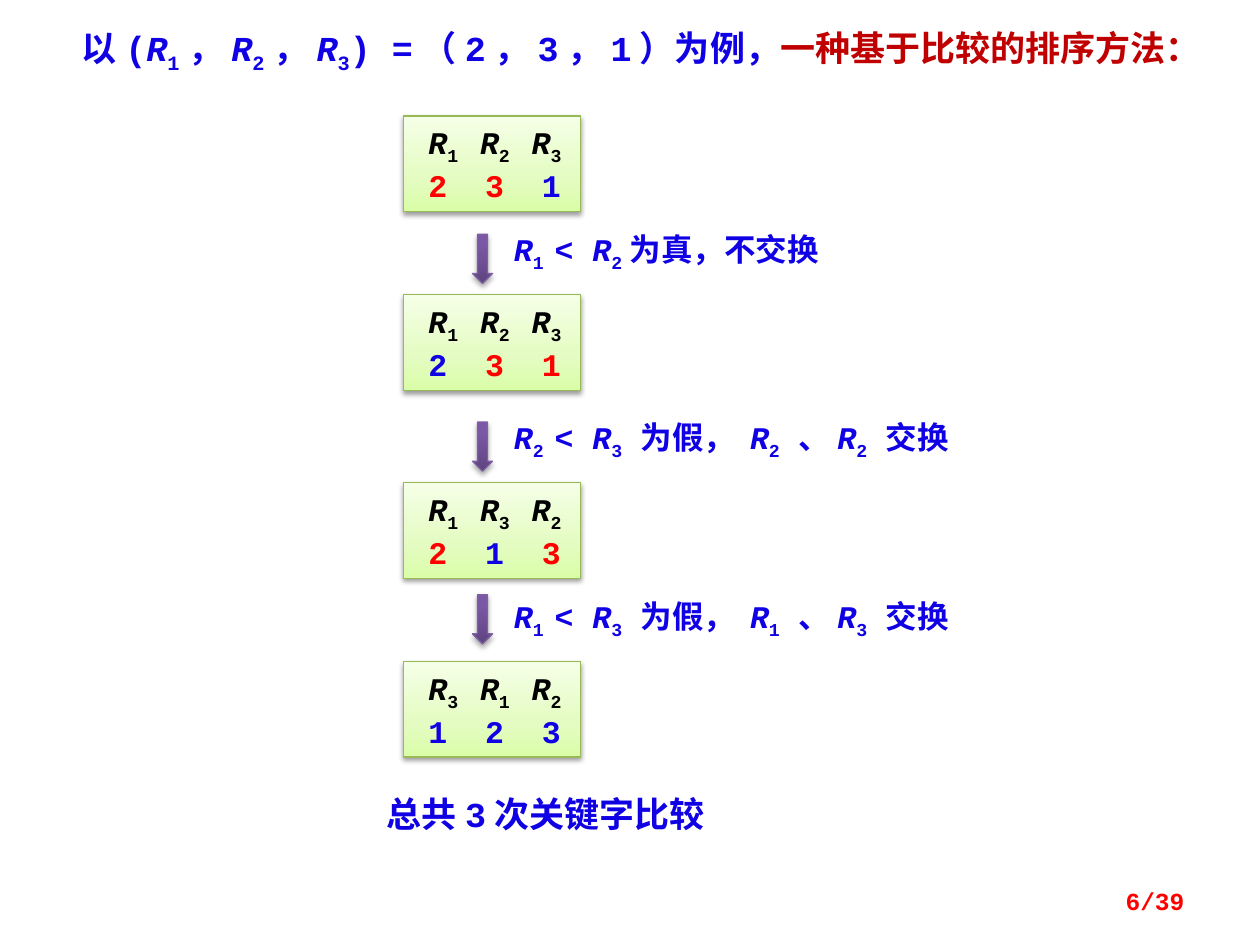
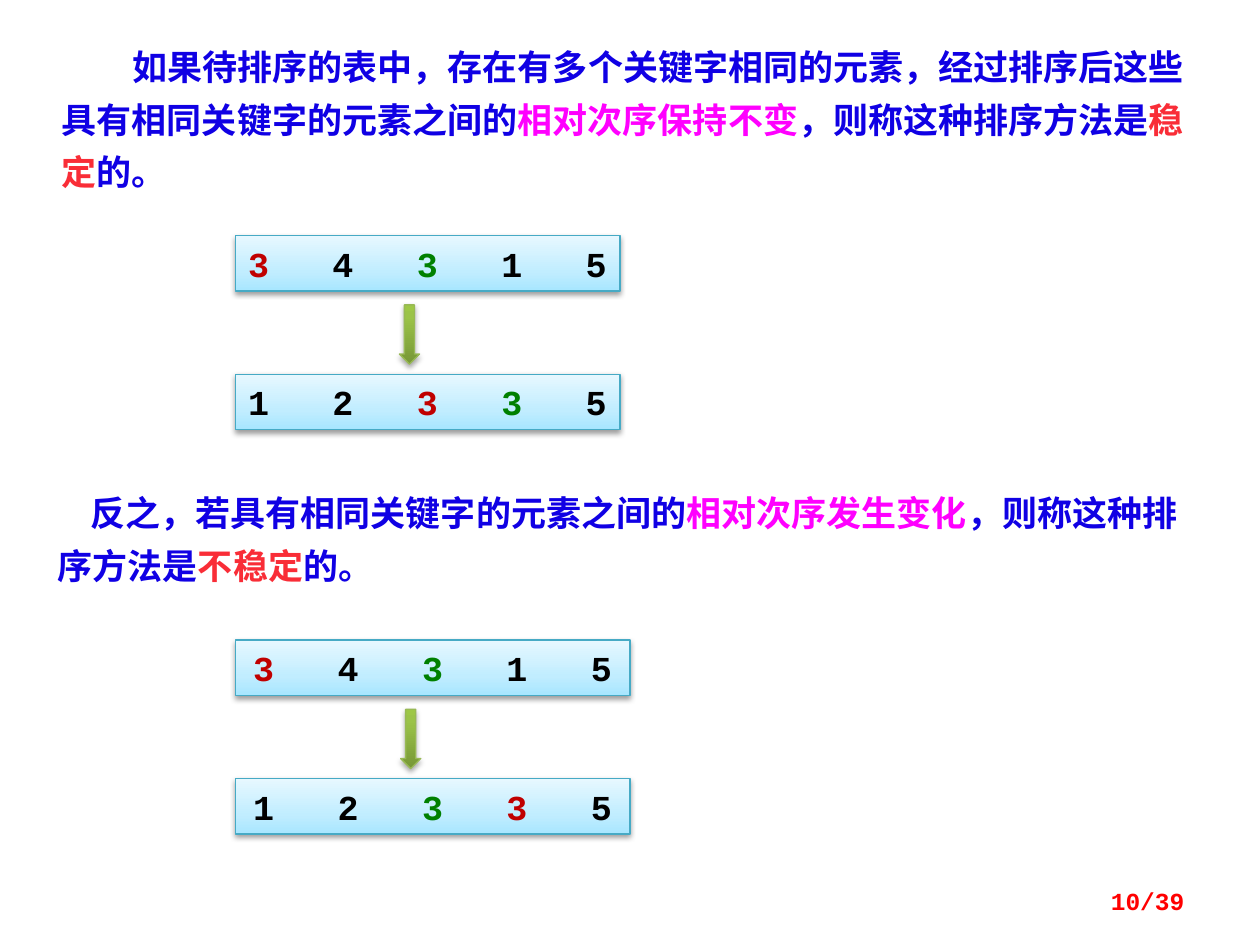
from dataclasses import dataclass, replace
from typing import NamedTuple

from lxml import etree
from pptx import Presentation
from pptx.dml.color import RGBColor
from pptx.enum.shapes import MSO_SHAPE
from pptx.enum.text import MSO_ANCHOR, MSO_AUTO_SIZE, PP_ALIGN
from pptx.oxml.ns import qn
from pptx.util import Inches, Pt

RECT, DOWN_ARROW = MSO_SHAPE.RECTANGLE, MSO_SHAPE.DOWN_ARROW
TOP, MIDDLE = MSO_ANCHOR.TOP, MSO_ANCHOR.MIDDLE
LEFT, RIGHT = PP_ALIGN.LEFT, PP_ALIGN.RIGHT
GROW, FIXED = MSO_AUTO_SIZE.SHAPE_TO_FIT_TEXT, MSO_AUTO_SIZE.NONE

BLUE = RGBColor(0x10, 0x00, 0xE4)
BLACK = RGBColor(0x00, 0x00, 0x00)
RED = RGBColor(0xFF, 0x00, 0x00)
DARK_RED = RGBColor(0xC0, 0x00, 0x00)
GREEN = RGBColor(0x00, 0x80, 0x00)
MAGENTA = RGBColor(0xFF, 0x00, 0xFF)
SCARLET = RGBColor(0xF9, 0x2D, 0x37)

MONO = "Courier New"
CJK = "Noto Sans CJK JP"


class Run(NamedTuple):
    text: str
    color: RGBColor = BLUE
    italic: bool = False
    sub: bool = False
    font: str = MONO


class Box(NamedTuple):
    left: float
    top: float
    width: float
    height: float

    def lengths(self) -> list:
        return [Inches(v) for v in self]


class Look(NamedTuple):
    stops: tuple
    line: RGBColor
    shadow_alpha: int
    shadow_dist: float


@dataclass
class Step:
    top: float
    order: str
    keys: str
    compared: tuple = ()


@dataclass
class Move:
    arrow_top: float
    label_top: float
    width: float
    text: str


@dataclass
class Example:
    top: float
    width: float
    inset: float
    arrow_left: float
    before: list
    after: list


GREEN_LINE = RGBColor(0x98, 0xB9, 0x55)
GREEN_BOX = Look(((0, "DAFDA7"), (35, "E4FCC2"), (100, "F5FFE7")),
                 GREEN_LINE, 38, 1.6)
BLUE_BOX = Look(((0, "A7E6FF"), (35, "C1EDFF"), (100, "E7F8FF")),
                RGBColor(0x46, 0xAA, 0xC5), 38, 1.6)
PURPLE_ARROW = Look(((0, "5F4480"), (80, "7B58A6"), (100, "7C57A8")),
                    RGBColor(0x7D, 0x60, 0xA0), 35, 1.8)
GREEN_ARROW = Look(((0, "779737"), (80, "9BC348"), (100, "9DC746")),
                   GREEN_LINE, 35, 1.8)


def add_color(parent, value: str):
    return etree.SubElement(parent, qn("a:srgbClr"), val=value)


def marked(text: str, color: RGBColor = BLUE) -> list[Run]:
    first, *rest = text.split("R")
    runs = [Run(first, color)] if first else []
    for part in rest:
        n = 2 if part[1:2] == " " else 1
        runs += [Run("R", color, italic=True), Run(part[:n], color, sub=True)]
        if part[n:]:
            runs.append(Run(part[n:], color))
    return runs


def add_runs(p, runs: list[Run], size: float) -> None:
    for item in runs:
        r = p.add_run()
        r.text = item.text
        r.font.size = Pt(size)
        r.font.bold = True
        r.font.italic = item.italic
        r.font.color.rgb = item.color
        r.font.name = item.font
        props = r.font._element
        etree.SubElement(props, qn("a:ea"), typeface=CJK)
        if item.sub:
            props.set("baseline", "-25000")


def add_columns(p, cells: list[list[Run]], size: float, pitch: float) -> None:
    p.alignment = LEFT
    tabs = etree.SubElement(p._p.get_or_add_pPr(), qn("a:tabLst"))
    for i, cell in enumerate(cells):
        if i:
            etree.SubElement(tabs, qn("a:tab"), pos=str(Inches(pitch * i)), algn="l")
            cell = [replace_text(cell[0], "\t" + cell[0].text), *cell[1:]]
        add_runs(p, cell, size)


def replace_text(run: Run, text: str) -> Run:
    return run._replace(text=text)


def write_text(sp, box: Box, runs: list[Run], size: float = 20, align=LEFT,
               anchor=TOP, auto_size=GROW, spacing: float = 0,
               indent: float = 0) -> None:
    sp.left, sp.top, sp.width, sp.height = box.lengths()
    tf = sp.text_frame
    tf.word_wrap = True
    tf.auto_size = auto_size
    tf.vertical_anchor = anchor
    p = tf.paragraphs[0]
    p.alignment = align
    if spacing:
        p.line_spacing = Pt(spacing)
    if indent:
        p._p.get_or_add_pPr().set("indent", str(Inches(indent)))
    add_runs(p, runs, size)


def add_text(shapes, box: Box, runs: list[Run], **style) -> None:
    write_text(shapes.add_textbox(*box.lengths()), box, runs, **style)


def add_styled(shapes, kind, box: Box, look: Look):
    sp = shapes.add_shape(kind, *box.lengths())
    sp.fill.gradient()
    sp.fill.gradient_angle = 90
    sp.line.color.rgb = look.line
    sp.line.width = Pt(0.75)
    sp.shadow.inherit = False
    sp_pr = sp.element.spPr
    stops = sp_pr.find(qn("a:gradFill")).find(qn("a:gsLst"))
    for old in list(stops):
        stops.remove(old)
    for pos, value in look.stops:
        add_color(etree.SubElement(stops, qn("a:gs"), pos=str(pos * 1000)), value)
    shadow = etree.SubElement(
        sp_pr.find(qn("a:effectLst")), qn("a:outerShdw"),
        blurRad=str(Pt(3.1)), dist=str(Pt(look.shadow_dist)),
        dir="5400000", rotWithShape="0")
    etree.SubElement(add_color(shadow, "000000"), qn("a:alpha"),
                     val=str(look.shadow_alpha * 1000))
    return sp


def add_box(shapes, box: Box, look: Look, inset: float):
    tf = add_styled(shapes, RECT, box, look).text_frame
    tf.margin_left = Inches(inset)
    tf.margin_right = 0
    tf.vertical_anchor = MIDDLE
    return tf


def add_page(prs, number: int):
    slide = prs.slides.add_slide(prs.slide_layouts[5])
    add_text(slide.shapes, Box(7.17, 6.95, 2.33, 0.4),
             [Run(f"{number}/39", RED)], size=14, align=RIGHT,
             anchor=MIDDLE, auto_size=FIXED)
    return slide


def add_step(shapes, step: Step) -> None:
    tf = add_box(shapes, Box(3.2, step.top, 1.41, 0.76), GREEN_BOX, 0.2)
    add_columns(tf.paragraphs[0], [marked("R" + n, BLACK) for n in step.order],
                18, 0.41)
    keys = [[Run(key, RED if i in step.compared else BLUE)]
            for i, key in enumerate(step.keys)]
    add_columns(tf.add_paragraph(), keys, 18, 0.45)


def add_move(shapes, move: Move) -> None:
    add_styled(shapes, DOWN_ARROW, Box(3.75, move.arrow_top, 0.16, 0.39), PURPLE_ARROW)
    add_text(shapes, Box(3.98, move.label_top, move.width, 0.4),
             marked(move.text), size=18)


def add_example(slide, ex: Example) -> None:
    shapes = slide.shapes.add_group_shape().shapes
    for top, row in ((ex.top, ex.before), (ex.top + 1.1, ex.after)):
        tf = add_box(shapes, Box(1.87, top, ex.width, 0.44), BLUE_BOX, ex.inset)
        add_columns(tf.paragraphs[0], [[key] for key in row], 20, 0.67)
    add_styled(shapes, DOWN_ARROW, Box(ex.arrow_left, ex.top + 0.55, 0.16, 0.47),
               GREEN_ARROW)


def build_comparison(prs) -> None:
    slide = add_page(prs, 6)
    write_text(slide.shapes.title, Box(0.55, 0.16, 8.91, 0.44),
               marked("以(R1，R2，R3) =（2，3，1）为例，")
               + [Run("一种基于比较的排序方法：", DARK_RED)])
    steps = [
        Step(0.92, "123", "231", (0, 1)),
        Step(2.34, "123", "231", (1, 2)),
        Step(3.83, "132", "213", (0, 2)),
        Step(5.25, "312", "123"),
    ]
    moves = [
        Move(1.86, 1.78, 2.81, "R1 < R2为真，不交换"),
        Move(3.35, 3.27, 4.22, "R2 < R3 为假， R2 、R2 交换"),
        Move(4.72, 4.69, 4.22, "R1 < R3 为假， R1 、R3 交换"),
    ]
    for step in steps:
        add_step(slide.shapes, step)
    for move in moves:
        add_move(slide.shapes, move)
    add_text(slide.shapes, Box(2.97, 6.24, 2.81, 0.44), [Run("总共3次关键字比较")])


def build_stability(prs) -> None:
    slide = add_page(prs, 10)
    method = Run("，则称这种排序方法是")
    write_text(slide.shapes.title, Box(0.39, 0.23, 9.17, 1.34), [
        Run("如果待排序的表中，存在有多个关键字相同的元素，"
            "经过排序后这些具有相同关键字的元素之间的"),
        Run("相对次序保持不变", MAGENTA), method,
        Run("稳定", SCARLET, font=CJK), Run("的。"),
    ], spacing=30, indent=0.56)
    add_text(slide.shapes, Box(0.36, 3.77, 9.17, 0.93), [
        Run("反之，若具有相同关键字的元素之间的"),
        Run("相对次序发生变化", MAGENTA), method,
        Run("不稳定", SCARLET, font=CJK), Run("的。"),
    ], spacing=30, indent=0.26)
    one, two, four, five = (Run(n, BLACK) for n in "1245")
    first, second = Run("3", DARK_RED), Run("3", GREEN)
    stable = Example(1.87, 3.05, 0.1, 3.17,
                     [first, four, second, one, five],
                     [one, two, first, second, five])
    unstable = replace(stable, top=5.08, width=3.13, inset=0.14, arrow_left=3.18,
                       after=[one, two, second, first, five])
    for example in (stable, unstable):
        add_example(slide, example)


def main() -> None:
    prs = Presentation()
    prs.slide_width, prs.slide_height = Inches(10), Inches(7.5)
    build_comparison(prs)
    build_stability(prs)
    prs.save("out.pptx")


main()
